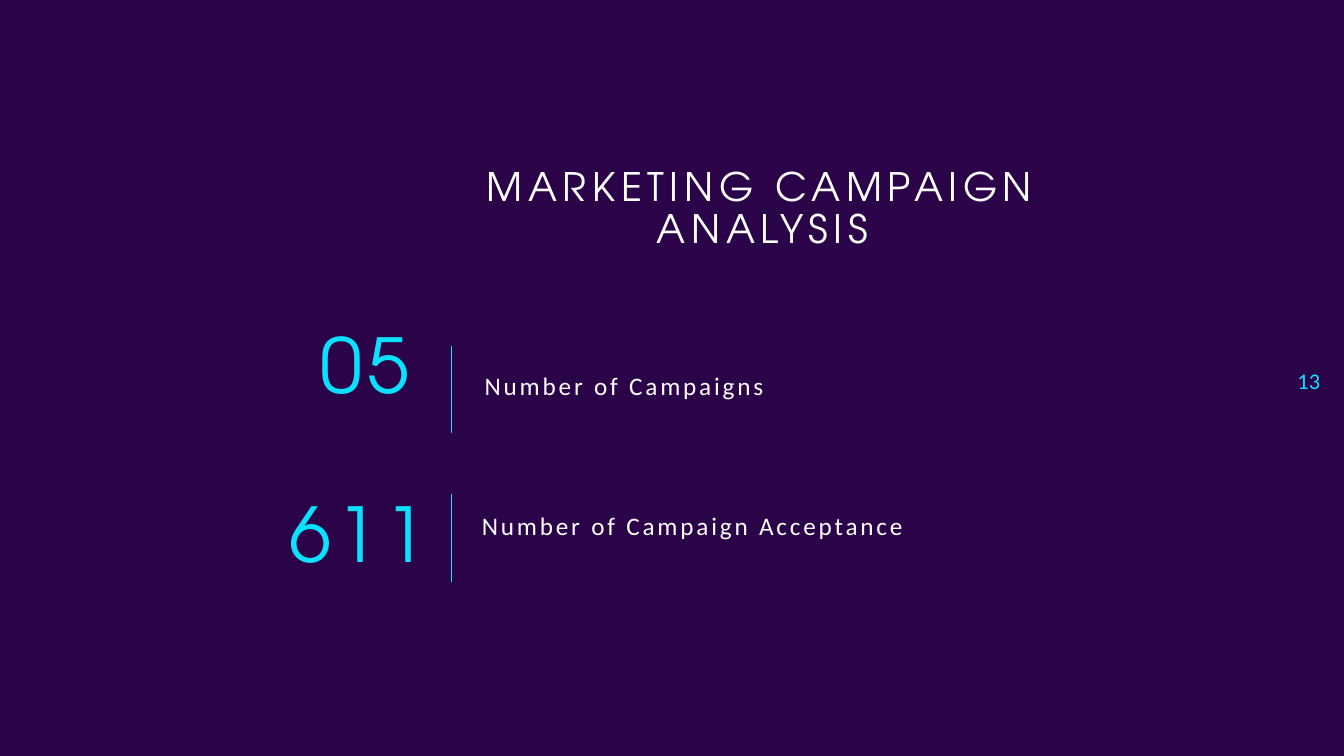
from dataclasses import dataclass

from pptx import Presentation
from pptx.dml.color import RGBColor
from pptx.enum.shapes import MSO_CONNECTOR
from pptx.enum.text import MSO_ANCHOR as Anchor, MSO_AUTO_SIZE as AutoSize, PP_ALIGN as Align
from pptx.oxml.ns import qn
from pptx.util import Cm, Pt


@dataclass(frozen=True)
class Style:
    font: str
    size: int
    color: RGBColor
    tracking: int = 0
    line_spacing: float = 0.9


class Theme:
    background = RGBColor.from_string("2B0348")
    accent = RGBColor.from_string("0BE1FF")
    white = RGBColor.from_string("FFFFFF")
    title = Style("TeX Gyre Adventor", 28, white, 400)
    figure = Style("TeX Gyre Adventor", 54, accent, 400)
    label = Style("Calibri", 18, white, 200)
    number = Style("Calibri", 16, accent, line_spacing=1.0)
    rule_width = Pt(0.5)


@dataclass(frozen=True)
class Box:
    left: float
    top: float
    width: float
    height: float

    def inside(self, left, top, width, height):
        return Box(self.left + left, self.top + top, width, height)

    def lengths(self):
        return [Cm(value) for value in (self.left, self.top, self.width, self.height)]


def write(shape, box, text, style, align=Align.LEFT, anchor=Anchor.TOP):
    shape.left, shape.top, shape.width, shape.height = box.lengths()
    frame = shape.text_frame
    frame.word_wrap = True
    frame.auto_size = AutoSize.NONE
    frame.vertical_anchor = anchor
    para = frame.paragraphs[0]
    properties = para._p.get_or_add_pPr()
    properties.set("marL", "0")
    properties.set("indent", "0")
    properties.append(properties.makeelement(qn("a:buNone"), {}))
    para.alignment = align
    para.line_spacing = style.line_spacing
    para.space_before = Pt(0)
    span = para.add_run()
    span.text = text
    span.font.name = style.font
    span.font.size = Pt(style.size)
    span.font.bold = False
    span.font.color.rgb = style.color
    if style.tracking:
        span._r.get_or_add_rPr().set("spc", str(style.tracking))


def add_divider(page, box):
    left, top, width, height = box.lengths()
    line = page.shapes.add_connector(MSO_CONNECTOR.STRAIGHT, left, top, left + width, top + height)
    line.line.color.rgb = Theme.accent
    line.line.width = Theme.rule_width
    effects = line._element.spPr
    effects.append(effects.makeelement(qn("a:effectLst"), {}))


def add_heading(page, box):
    write(page.shapes.title, box, "MARKETING CAMPAIGN ANALYSIS", Theme.title, Align.CENTER)


def add_statistic(page, box, holders, figure, figure_place, label, label_place):
    figure_holder, label_holder = holders
    write(figure_holder, box.inside(*figure_place), figure, Theme.figure, anchor=Anchor.MIDDLE)
    write(label_holder, box.inside(*label_place), label, Theme.label)
    add_divider(page, box.inside(4.34, 0, 0, box.height))


def add_page_number(page, box):
    holder = page.shapes.add_textbox(*box.lengths())
    write(holder, box, "13", Theme.number, Align.RIGHT, Anchor.MIDDLE)


def build_campaign_page(deck, box):
    page = deck.slides.add_slide(deck.slide_layouts.get_by_name("Comparison"))
    fill = page.background.fill
    fill.solid()
    fill.fore_color.rgb = Theme.background
    add_heading(page, box.inside(9.55, 4.09, 19.33, 2.54))
    statistics = [
        ("05", (0.78, -0.73, 3.02, 2.62), "Number of Campaigns", (4.92, 0.59, 10.11, 1.07)),
        ("611", (0, -0.38, 4.95, 2.97), "Number of Campaign Acceptance", (4.85, 0.38, 11.99, 1.07)),
    ]
    bodies = [holder for holder in page.placeholders if holder.placeholder_format.idx in range(1, 5)]
    for index, statistic in enumerate(statistics):
        row = box.inside(7.04, 8.71 + index * 3.74, 16.84, 2.21)
        add_statistic(page, row, bodies[2 * index:2 * index + 2], *statistic)
    add_page_number(page, box.inside(32, 8.79, 1.52, 1.6))


def main():
    deck = Presentation()
    canvas = Box(0, 0, 33.87, 19.05)
    deck.slide_width, deck.slide_height = canvas.lengths()[2:]
    build_campaign_page(deck, canvas)
    deck.save("out.pptx")


if __name__ == "__main__":
    main()
